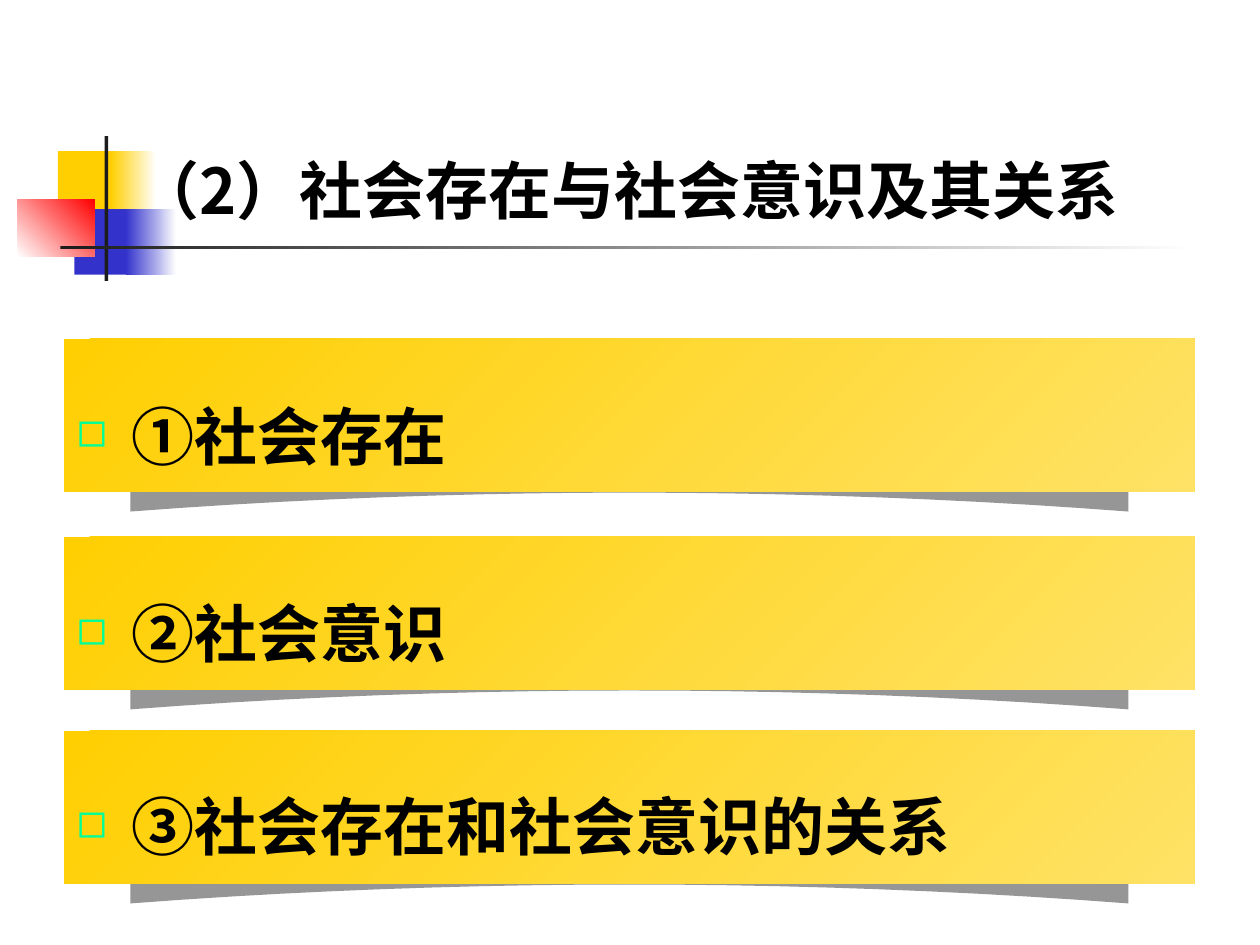
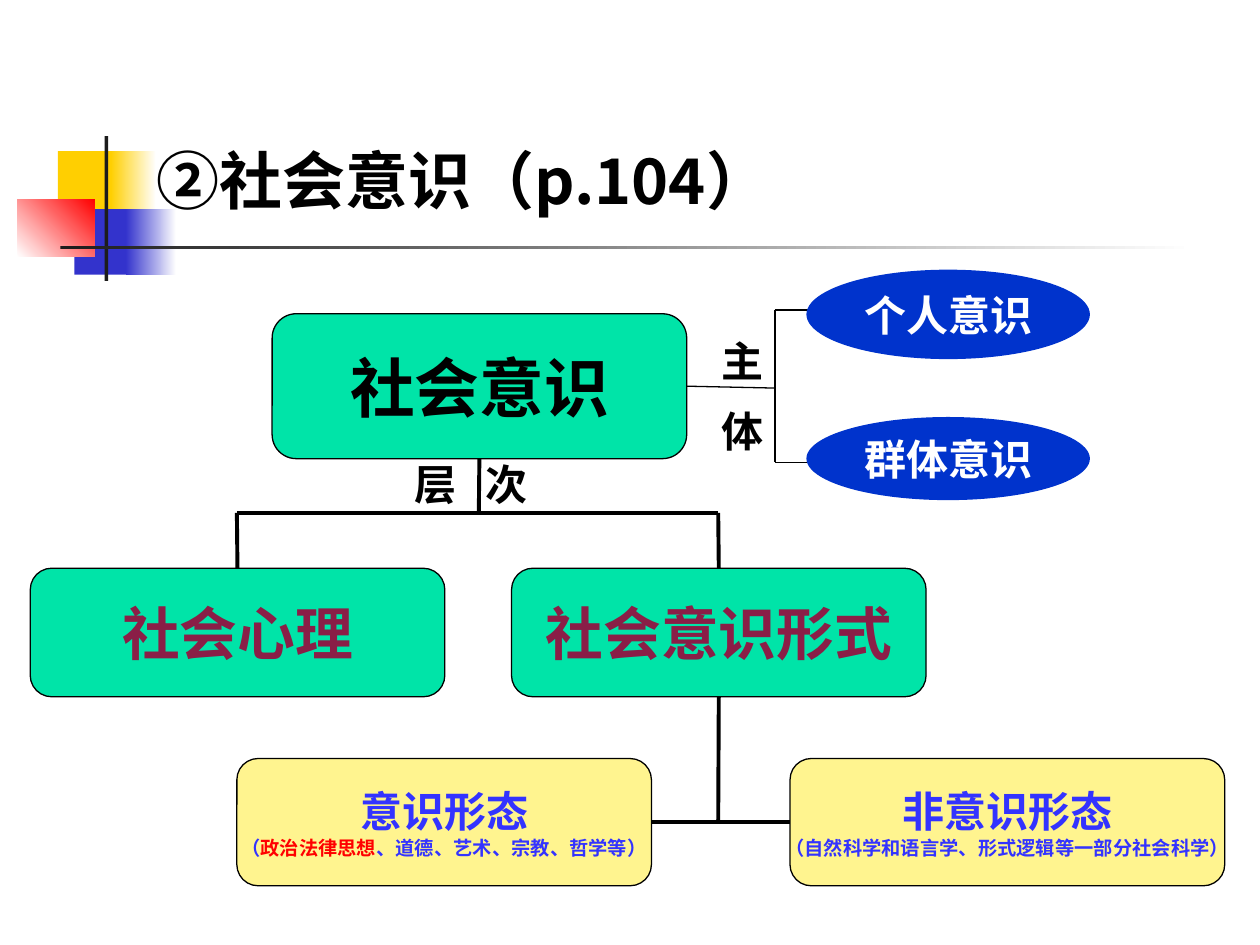
from lxml.etree import SubElement
from pptx import Presentation
from pptx.dml.color import RGBColor
from pptx.enum.shapes import MSO_CONNECTOR, MSO_SHAPE
from pptx.enum.text import MSO_ANCHOR, MSO_AUTO_SIZE, PP_ALIGN
from pptx.oxml.ns import qn
from pptx.util import Pt

PX = 9144  # 100 px to the inch
CJK, COMIC, KARLA = "Noto Sans CJK SC", "Comic Neue", "Karla"
BLACK, WHITE, INK = "000000", "FFFFFF", "1C1C1C"
GOLD, PALE, BLUE, RED = "FFCF01", "FFE266", "3333CC", "FF0000"
GREY, MINT, GREEN, CREAM = "969696", "00FF99", "00E4A8", "FFF48F"
NAVY, WINE, VIOLET = "0033CC", "8A1E47", "3333FF"


def emu(*vals):
    return [int(v * PX) for v in vals]


def rgb(code):
    return RGBColor.from_string(code)


def assign(obj, **vals):
    for key, val in vals.items():
        setattr(obj, key, val)


def place(shape, box):
    assign(shape, **dict(zip(("left", "top", "width", "height"), emu(*box))))


def paint(shape, fill, line=None):
    """Fill with a hex colour or (from, to, angle); outline only if asked."""
    shape.shadow.inherit = False
    if isinstance(fill, tuple):
        *ends, angle = fill
        shape.fill.gradient()
        shape.fill.gradient_angle = angle
        for stop, code in zip(shape.fill.gradient_stops, ends):
            stop.color.rgb = rgb(code)
    else:
        shape.fill.solid()
        shape.fill.fore_color.rgb = rgb(fill)
    if line:
        shape.line.color.rgb = rgb(line)
        shape.line.width = Pt(0.75)
    else:
        shape.line.fill.background()


def block(slide, kind, box, fill, line=None):
    shape = slide.shapes.add_shape(kind, *emu(*box))
    paint(shape, fill, line)
    return shape


def write(para, text, size, color=BLACK, font=CJK, gap=0):
    run = para.add_run()
    run.text = text
    assign(run.font, size=Pt(size), bold=True, name=font)
    run.font.color.rgb = rgb(color)
    props = run.font._element
    SubElement(props, qn("a:ea"), typeface=CJK)
    if gap:
        props.set("spc", str(gap * 100))


def frame(shape, **vals):
    """Set the text frame, centred in height unless told otherwise."""
    base = dict(auto_size=MSO_AUTO_SIZE.NONE, word_wrap=True,
                vertical_anchor=MSO_ANCHOR.MIDDLE)
    assign(shape.text_frame, **{**base, **vals})
    return shape.text_frame


def head(slide, text, box):
    title = slide.shapes.title
    place(title, box)
    para = frame(title).paragraphs[0]
    para.alignment = PP_ALIGN.LEFT
    write(para, text, 36)


def decor(slide, master):
    """Draw the shared ornament and hand it over to the master."""
    parts = [
        ((46, 120, 48, 52), GOLD),
        ((88, 120, 36, 52), (GOLD, WHITE, 0)),
        ((59, 166, 46, 52), BLUE),
        ((100, 166, 40, 52), (BLUE, WHITE, 0)),
        ((14, 158, 61, 46), (WHITE, RED, 45)),
        ((83, 108, 3, 115), INK),
        ((48, 195, 900, 3), (INK, WHITE, 0)),
    ]
    for box, fill in parts:
        shape = block(slide, MSO_SHAPE.RECTANGLE, box, fill)
        master.shapes.element.append(shape.element)


def band(slide, box):
    """Gold strip with a curled shadow below it."""
    left, top, width, height = box
    mid, half, base = left + width / 2, 396, top + height
    steps = [n / 10 for n in range(10, -11, -1)]
    curve = [(mid + half * t, base + 1 + 15 * t * t) for t in steps]
    curve += [(mid - half, base - 28), (mid, base - 42), (mid + half, base - 28)]
    path = slide.shapes.build_freeform(*emu(*curve[0]), scale=1.0)
    path.add_line_segments([emu(*spot) for spot in curve[1:]], close=True)
    paint(path.convert_to_shape(), GREY)
    block(slide, MSO_SHAPE.RECTANGLE, box, (GOLD, PALE, 315))


def bullet(para):
    props = para._p.get_or_add_pPr()
    props.set("marL", str(31 * PX))
    props.set("indent", str(-31 * PX))
    color = SubElement(props, qn("a:buClr"))
    SubElement(color, qn("a:srgbClr"), val=MINT)
    SubElement(props, qn("a:buSzPct"), val="70000")
    SubElement(props, qn("a:buChar"), char="◻")


def topics(slide, box, items):
    body = slide.placeholders[1]
    place(body, box)
    text = frame(body, vertical_anchor=MSO_ANCHOR.TOP)
    for num, (item, top, before) in enumerate(items):
        band(slide, (box[0], top, box[2], 121))
        para = text.add_paragraph() if num else text.paragraphs[0]
        assign(para, line_spacing=Pt(65), space_before=Pt(before),
               space_after=Pt(0))
        bullet(para)
        write(para, " ", 40)
        write(para, item, 36)
    slide.shapes.element.append(body.element)


def node(slide, kind, box, fill, lines, line=BLACK, **vals):
    """Shape with centred lines, each a list of (text, size, colour)."""
    shape = block(slide, kind, box, fill, line)
    text = frame(shape, **vals)
    for num, runs in enumerate(lines):
        para = text.add_paragraph() if num else text.paragraphs[0]
        para.alignment = PP_ALIGN.CENTER
        for run in runs:
            write(para, *run, font=COMIC)
    return shape


def card(slide, box, fill, *lines):
    edges = ("left", "top", "right", "bottom")
    return node(slide, MSO_SHAPE.ROUNDED_RECTANGLE, box, fill, lines,
                word_wrap=False, **{"margin_" + edge: 0 for edge in edges})


def link(slide, start, end, weight):
    """Join two ends; an end is a point or a (shape, site) pair."""
    joint = [not isinstance(stop[0], int) for stop in (start, end)]
    spots = [(0, 0) if glued else stop for glued, stop in zip(joint, (start, end))]
    line = slide.shapes.add_connector(MSO_CONNECTOR.STRAIGHT,
                                      *emu(*spots[0], *spots[1]))
    if joint[0]:
        line.begin_connect(*start)
    if joint[1]:
        line.end_connect(*end)
    line.line.color.rgb = rgb(BLACK)
    line.line.width = Pt(weight)
    SubElement(line._element.spPr, qn("a:effectLst"))


def label(slide, text, box, upright=False):
    shape = slide.shapes.add_textbox(*emu(*box))
    area = frame(shape)
    if upright:
        assign(area, vertical_anchor=MSO_ANCHOR.TOP, margin_right=0,
               margin_top=10 * PX)
        area._txBody.bodyPr.set("vert", "eaVert")
    write(area.paragraphs[0], text, 24, font=KARLA, gap=16.5)


def tree(slide, box):
    """Levels of awareness, from the root card down; returns the root."""
    x, y = box
    root = card(slide, (x + 192, y, 329, 115), GREEN, [("社会意识", 37, BLACK)])
    mind, form = [
        card(slide, (x + dx, y + 202, 329, 102), GREEN, [(text, 33, WINE)])
        for dx, text in ((0, "社会心理"), (382, "社会意识形式"))]
    idea = card(slide, (x + 164, y + 353, 329, 101), CREAM,
                [("意识形态", 24, VIOLET)],
                [("（", 11, VIOLET), ("政治法律思想", 11, RED),
                 ("、道德、艺术、宗教、哲学等）", 11, VIOLET)])
    other = card(slide, (x + 603, y + 353, 345, 101), CREAM,
                 [("非意识形态", 24, VIOLET)],
                 [("（自然科学和语言学、形式逻辑等一部分社会科学）", 11, VIOLET)])

    def center(shape):
        return int((shape.left + shape.width / 2) / PX)

    bar, low = y + 158, y + 403
    link(slide, (root, 2), (center(root), bar), 2.25)
    link(slide, (center(mind), bar), (center(form), bar), 2.25)
    for child in (mind, form):
        link(slide, (center(child), bar), (child, 0), 2.25)
    link(slide, (form, 2), (center(form), low), 2.25)
    link(slide, (idea, 3), (other, 1), 2.25)
    return root


def bearers(slide, box, root):
    """Bracket from the root card to the two ovals."""
    x, y = box
    link(slide, (root, 3), (x, y + 94), 0.75)
    link(slide, (x, y + 32), (x, y + 153), 0.75)
    ovals = ((32, 0, 71, "个人意识"), (153, 117, 66, "群体意识"))
    for dy, top, height, text in ovals:
        link(slide, (x, y + dy), (x + 70, y + dy), 0.75)
        node(slide, MSO_SHAPE.OVAL, (x + 25, y + top, 225, height), NAVY,
             [[(text, 24, WHITE)]], line=None)


def main():
    prs = Presentation()
    assign(prs, slide_width=1000 * PX, slide_height=750 * PX)

    first = prs.slides.add_slide(prs.slide_layouts[1])
    decor(first, prs.slide_master)
    head(first, "（2）社会存在与社会意识及其关系", (98, 115, 902, 71))
    topics(first, (51, 281, 897, 420), [
        ("①社会存在", 269, 0),
        ("②社会意识", 426, 48),
        ("③社会存在和社会意识的关系", 580, 45)])

    second = prs.slides.add_slide(prs.slide_layouts[5])
    head(second, "②社会意识（p.104）", (114, 107, 756, 71))
    root = tree(second, (24, 249))
    bearers(second, (615, 214), root)
    label(second, "主体", (547, 260, 61, 115), upright=True)
    label(second, "层次", (319, 359, 126, 50))
    prs.save("out.pptx")


if __name__ == "__main__":
    main()
